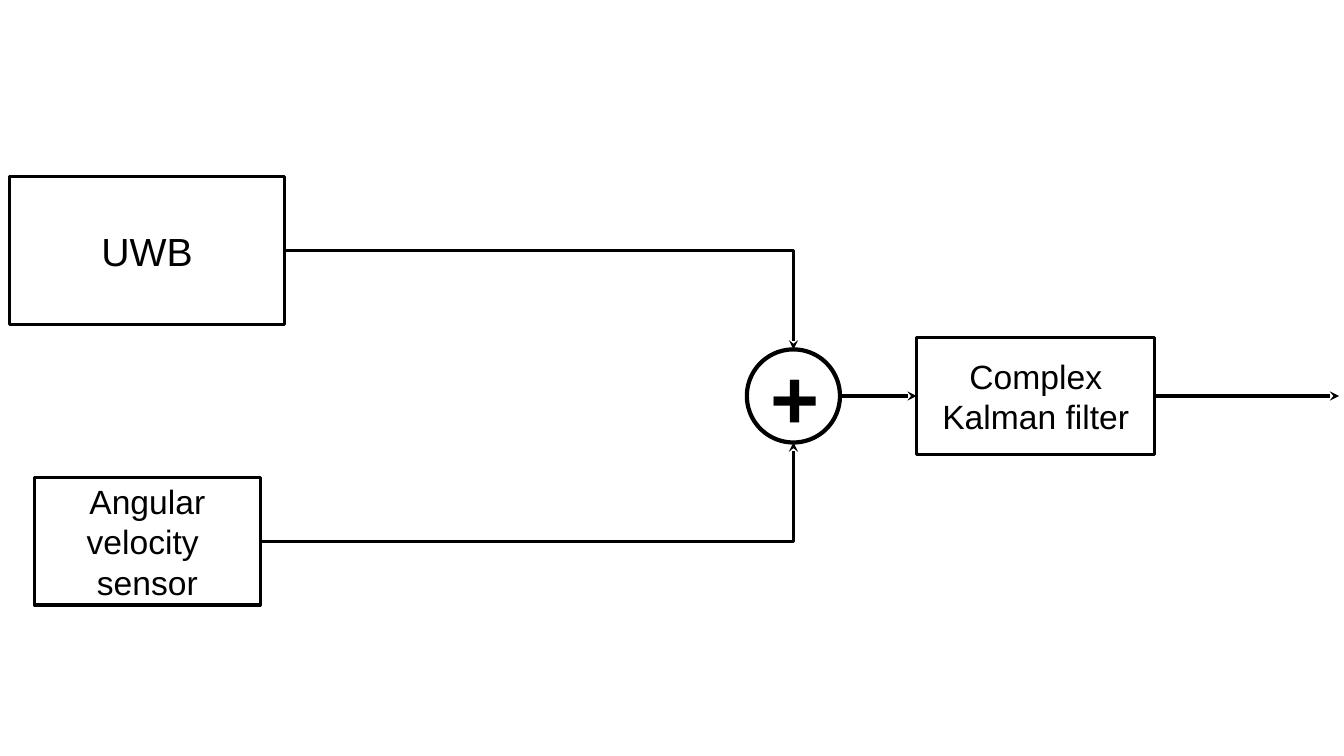
import pptx
import pptx.util
import pptx.dml.color
import pptx.enum.shapes
import pptx.enum.text
import pptx.oxml.ns
from lxml import etree

Pt = pptx.util.Pt
SHAPE = pptx.enum.shapes.MSO_SHAPE
CONNECTOR = pptx.enum.shapes.MSO_CONNECTOR
qn = pptx.oxml.ns.qn

COLORS = {"ink": "000000", "paper": "FFFFFF"}


def color(name):
    return pptx.dml.color.RGBColor.from_string(COLORS[name])


def write_text(shape, lines, size=24, bold=False):
    """Fill a shape with centred paragraphs."""
    frame = shape.text_frame
    frame.word_wrap = True
    frame.vertical_anchor = pptx.enum.text.MSO_ANCHOR.MIDDLE
    for index, line in enumerate(lines):
        para = frame.add_paragraph() if index else frame.paragraphs[0]
        para.alignment = pptx.enum.text.PP_ALIGN.CENTER
        span = para.add_run()
        span.text = line
        span.font.name = "Arial"
        span.font.size = Pt(size)
        span.font.bold = bold
        span.font.color.rgb = color("ink")


def add_block(page, box, lines, kind=SHAPE.RECTANGLE, weight=2.25, **text_format):
    shape = page.shapes.add_shape(kind, *(Pt(length) for length in box))
    shape.shadow.inherit = False
    shape.fill.solid()
    shape.fill.fore_color.rgb = color("paper")
    shape.line.color.rgb = color("ink")
    shape.line.width = Pt(weight)
    write_text(shape, lines, **text_format)


def add_arrow(page, start, end):
    """Join two points; a slanted pair gets one corner, across then up or down."""
    bent = start[1] != end[1]
    kind = CONNECTOR.ELBOW if bent else CONNECTOR.STRAIGHT
    arrow = page.shapes.add_connector(kind, *(Pt(length) for length in start + end))
    arrow.line.color.rgb = color("ink")
    arrow.line.width = Pt(2.25)
    properties = arrow.element.spPr
    if bent:
        properties.find(qn("a:prstGeom")).set("prst", "bentConnector2")
    etree.SubElement(properties.find(qn("a:ln")), qn("a:tailEnd"), type="stealth")
    etree.SubElement(properties, qn("a:effectLst"))


def right_middle(box):
    left, top, width, height = box
    return left + width, top + height / 2


def draw_inputs(page, uwb, sensor, junction):
    """Two sources that feed the top and bottom of the junction."""
    left, top, width, height = junction
    center = left + width / 2
    add_block(page, sensor, ["Angular velocity ", "sensor"])
    add_block(page, uwb, ["UWB"], size=28)
    add_arrow(page, right_middle(uwb), (center, top))
    add_arrow(page, right_middle(sensor), (center, top + height))


def draw_filter(page, junction, kalman, output_end):
    """Summing junction, filter block and output arrow."""
    axis = junction[1] + junction[3] / 2
    add_block(page, kalman, ["Complex Kalman filter"])
    add_arrow(page, (junction[0] + junction[2], axis), (kalman[0], axis))
    add_block(page, junction, ["+"], kind=SHAPE.OVAL, weight=3, size=60, bold=True)
    add_arrow(page, (kalman[0] + kalman[2], axis), (output_end, axis))


def main():
    deck = pptx.Presentation()
    deck.slide_width, deck.slide_height = Pt(960), Pt(540)
    page = deck.slides.add_slide(deck.slide_layouts[6])
    junction = (533.5, 249.6, 66.5, 66.5)
    draw_inputs(page, uwb=(6.7, 126, 196.8, 105.6),
                sensor=(24.6, 341.2, 161.2, 91), junction=junction)
    draw_filter(page, junction, kalman=(654.8, 241.2, 170, 83.5), output_end=956.5)
    deck.save("out.pptx")


if __name__ == "__main__":
    main()
